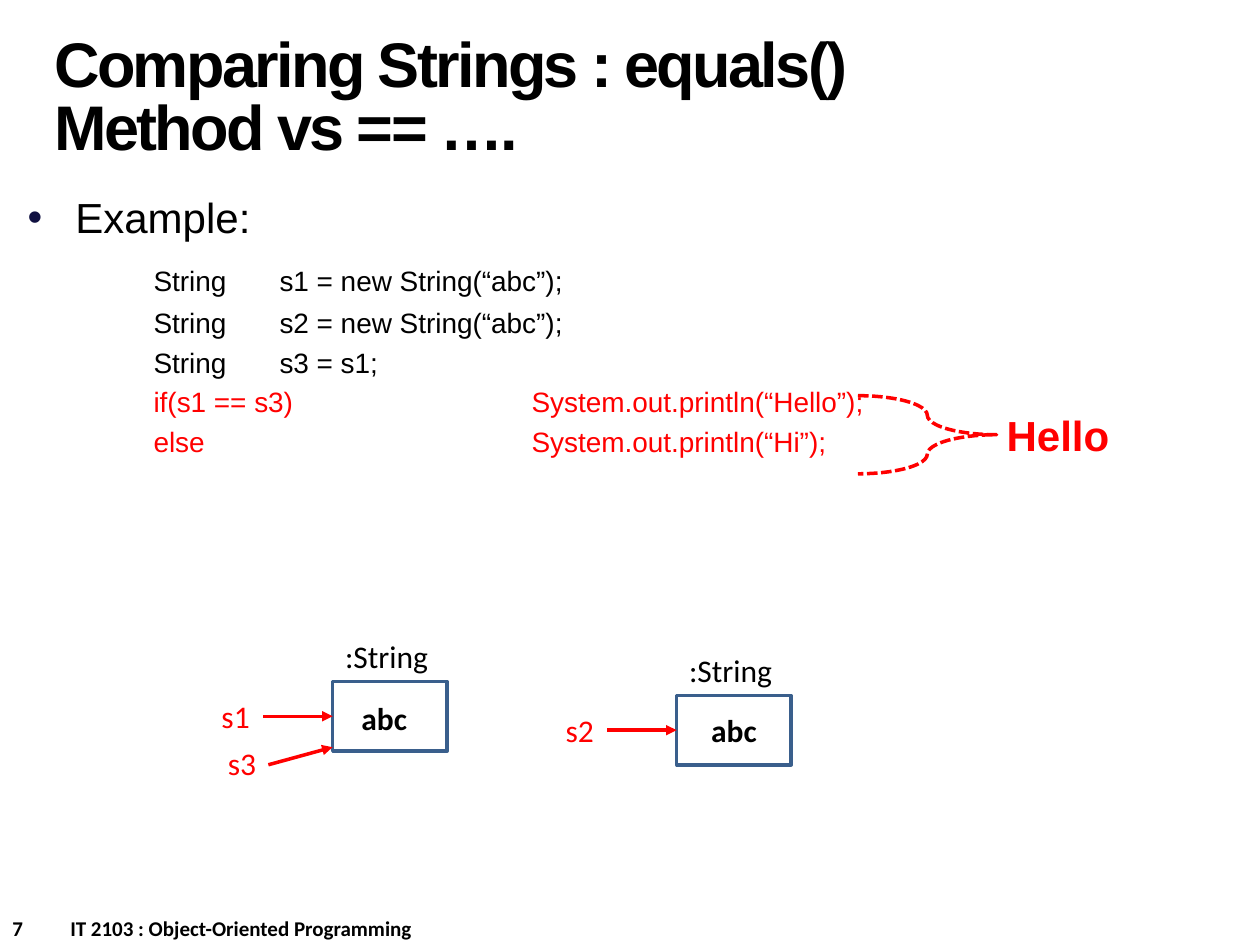
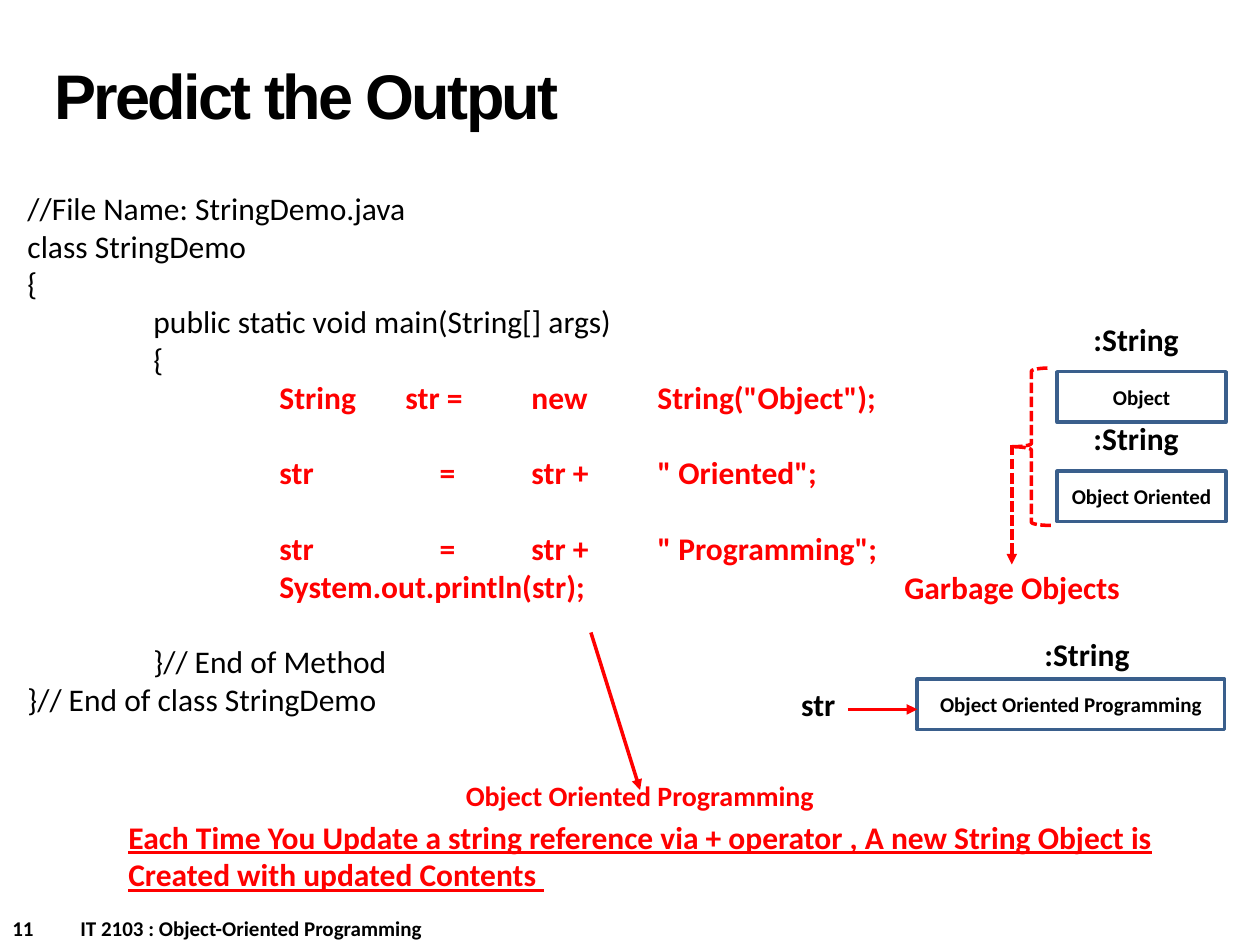
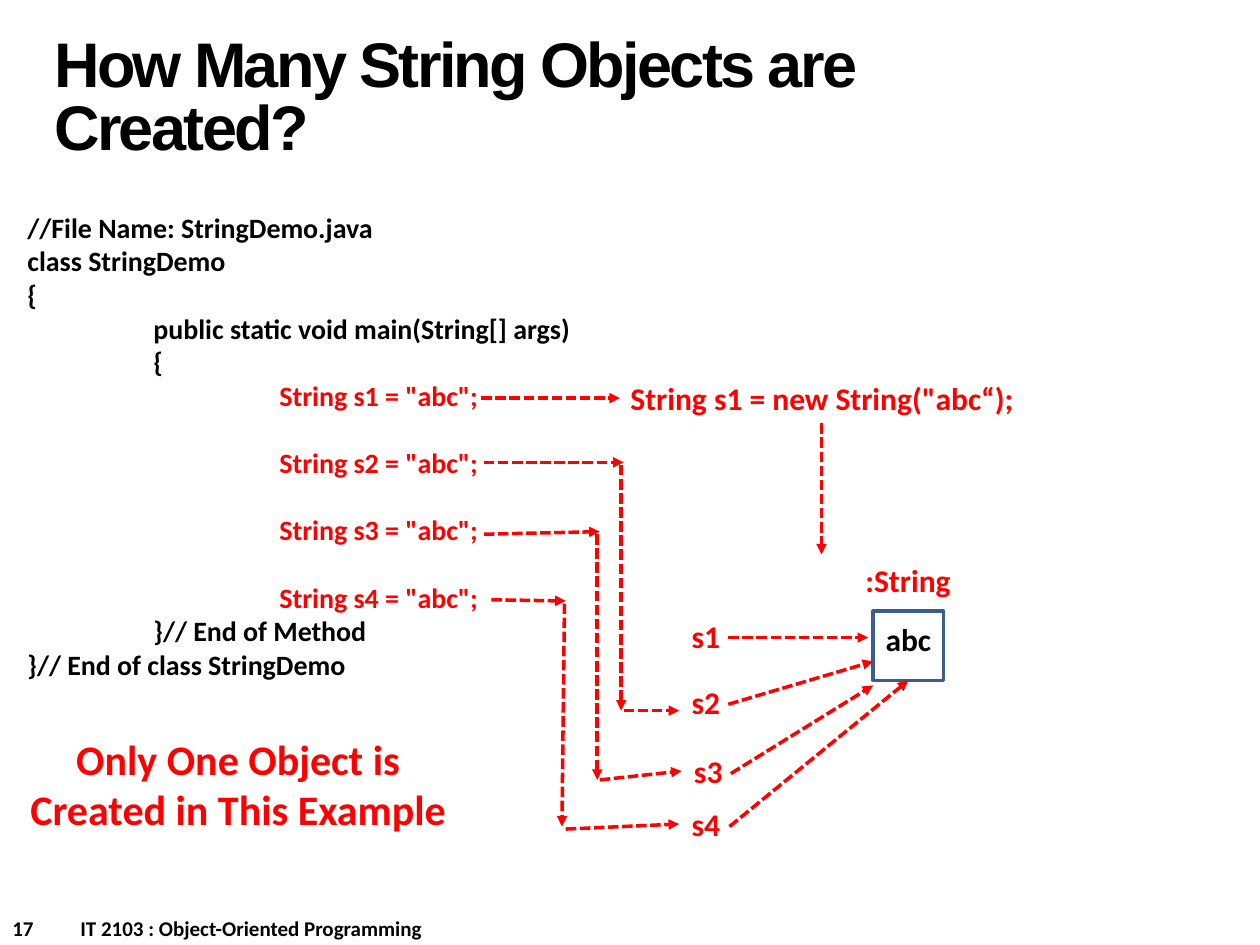
from dataclasses import dataclass

from lxml import etree
from pptx import Presentation
from pptx.dml.color import RGBColor
from pptx.enum.dml import MSO_LINE
from pptx.enum.shapes import MSO_CONNECTOR, MSO_SHAPE
from pptx.enum.text import MSO_ANCHOR, PP_ALIGN
from pptx.oxml.ns import qn
from pptx.util import Inches, Pt

LEFT, CENTER = PP_ALIGN.LEFT, PP_ALIGN.CENTER
TOP, MIDDLE = MSO_ANCHOR.TOP, MSO_ANCHOR.MIDDLE
RECTANGLE, BRACE = MSO_SHAPE.RECTANGLE, MSO_SHAPE.RIGHT_BRACE
STRAIGHT = MSO_CONNECTOR.STRAIGHT
DASH = MSO_LINE.SQUARE_DOT
SIDE_LEFT, SIDE_BOTTOM = 1, 2

COLORS = {"text": "000000", "accent": "FF0000", "outline": "3A5F8C", "bullet": "101141"}

# The slide is a grid of square cells
WIDTH, HEIGHT = Inches(10), Inches(7.5)
COLUMNS, ROWS = 100, 75
CELL = WIDTH / COLUMNS

CODE_STOPS = [1, 2, 3, 4, 5]
TITLE_FORMAT = {"name": "Arial", "size": Pt(36), "bold": True}
PLAIN = {"name": "Calibri", "size": Pt(18), "bold": False}
BOLD = {**PLAIN, "bold": True}
MEDIUM = {**BOLD, "size": Pt(16)}
SMALL = {**BOLD, "size": Pt(12)}
LARGE = {**BOLD, "size": Pt(24)}


@dataclass
class Box:
    left: float
    top: float
    width: float
    height: float

    def inner(self, left, top, width, height):
        return Box(self.left + left, self.top + top, width, height)

    def point(self, left, top):
        return self.left + left, self.top + top

    def lengths(self):
        return cells(self.left, self.top, self.width, self.height)


def cells(*values):
    return [round(value * CELL) for value in values]


def rgb(name):
    return RGBColor.from_string(COLORS[name])


# Text
def write(paragraph, text, font_format, color="text"):
    run = paragraph.add_run()
    run.text = text
    for name, value in font_format.items():
        setattr(run.font, name, value)
    run.font.color.rgb = rgb(color)
    return run


def set_tabs(paragraph, stops):
    tab_list = etree.SubElement(paragraph._p.get_or_add_pPr(), qn("a:tabLst"))
    for stop in stops:
        etree.SubElement(tab_list, qn("a:tab"), pos=str(Inches(stop)), algn="l")


def set_bullet(paragraph, indent):
    properties = paragraph._p.get_or_add_pPr()
    properties.set("marL", str(Inches(indent)))
    properties.set("indent", str(-Inches(indent)))
    color = etree.SubElement(properties, qn("a:buClr"))
    etree.SubElement(color, qn("a:srgbClr"), val=COLORS["bullet"])
    etree.SubElement(properties, qn("a:buFont"), typeface="Arial")
    etree.SubElement(properties, qn("a:buChar"), char="•")


def add_frame(slide, box, wrap=True):
    frame = slide.shapes.add_textbox(*box.lengths()).text_frame
    frame.word_wrap = wrap
    frame.vertical_anchor = TOP
    return frame


def add_label(slide, box, text, font_format=BOLD, color="text", align=LEFT, wrap=False):
    paragraph = add_frame(slide, box, wrap).paragraphs[0]
    paragraph.alignment = align
    write(paragraph, text, font_format, color)


def add_code(slide, box, lines, font_format, blank_line):
    """Each line is text, colour, whether a blank line precedes it, and tab stops."""
    frame = add_frame(slide, box)
    for index, (text, color, gap, stops) in enumerate(lines):
        paragraph = frame.add_paragraph() if index else frame.paragraphs[0]
        set_tabs(paragraph, stops)
        if gap:
            paragraph.space_before = Pt(blank_line)
        line_format = {**font_format, "bold": font_format["bold"] or color == "accent"}
        write(paragraph, text, line_format, color)


# Shapes and lines
def style_line(line, color, dashed=False):
    line.color.rgb = rgb(color)
    line.width = Pt(2)
    if dashed:
        line.dash_style = DASH


def add_outline(slide, kind, box, color, dashed=False):
    shape = slide.shapes.add_shape(kind, *box.lengths())
    shape.shadow.inherit = False
    shape.fill.background()
    style_line(shape.line, color, dashed)
    return shape


def add_object(slide, box, content, type_offset, content_format=BOLD,
               type_format=BOLD, type_color="text"):
    rectangle = add_outline(slide, RECTANGLE, box, "outline")
    if content:
        frame = rectangle.text_frame
        frame.vertical_anchor = MIDDLE
        frame.paragraphs[0].alignment = CENTER
        write(frame.paragraphs[0], content, content_format)
    add_label(slide, box.inner(*type_offset, 8.8, 4), ":String", type_format, type_color)
    return rectangle


def add_arrow(slide, start, end, dashed=True, target=None, side=None):
    arrow = slide.shapes.add_connector(STRAIGHT, *cells(*start, *end))
    if target is not None:
        arrow.end_connect(target, side)
    style_line(arrow.line, "accent", dashed)
    etree.SubElement(arrow.line._get_or_add_ln(), qn("a:tailEnd"), type="triangle")
    etree.SubElement(arrow._element.spPr, qn("a:effectLst"))


# Parts on every slide
def add_title(slide, box, text):
    title = slide.shapes.title
    title.left, title.top, title.width, title.height = box.lengths()
    title.text_frame.word_wrap = True
    title.text_frame.vertical_anchor = MIDDLE
    paragraph = title.text_frame.paragraphs[0]
    paragraph.alignment = LEFT
    paragraph.line_spacing = Pt(36)
    run = write(paragraph, text, TITLE_FORMAT)
    run._r.get_or_add_rPr().set("spc", "-150")


def add_footer(slide, box, number):
    paragraph = add_frame(slide, box).paragraphs[0]
    set_tabs(paragraph, [0.38 + 0.08 * len(number)])
    write(paragraph, f"{number}\tIT 2103 : Object-Oriented Programming", SMALL)


def start_slide(presentation, title, number):
    slide = presentation.slides.add_slide(presentation.slide_layouts[5])
    add_title(slide, Box(3.3, 1.7, 69.2, 12.5), title)
    add_footer(slide, Box(0, ROWS - 2.85, COLUMNS / 2, 3), number)
    return slide


# Comparing strings
def add_example(slide, box):
    frame = add_frame(slide, box)
    heading = frame.paragraphs[0]
    set_bullet(heading, 0.38)
    write(heading, "Example:", {"name": "Arial", "size": Pt(24)})
    lines = [
        ("\tString\ts1 = new String(“abc”);", "text", 12.5),
        ("\tString \ts2 = new String(“abc”);", "text", 5),
        ("\tString \ts3 = s1;", "text", 3.3),
        ("\tif(s1 == s3)\t\tSystem.out.println(“Hello”);", "accent", 3.3),
        ("\telse\t\t\tSystem.out.println(“Hi”);", "accent", 3.3),
    ]
    for text, color, space in lines:
        paragraph = frame.add_paragraph()
        set_tabs(paragraph, CODE_STOPS)
        paragraph.space_before = Pt(space)
        write(paragraph, text, {"name": "Arial", "size": Pt(16)}, color)


def add_result(slide, box):
    brace = add_outline(slide, BRACE, box.inner(0, 0, 11, 6.2), "accent", dashed=True)
    brace.adjustments[0] = 0.25
    add_label(slide, box.inner(10.8, 0.6, 10.2, 5), "Hello", {**LARGE, "name": "Arial"}, "accent")


def add_reference(slide, box, name, content):
    rectangle = add_object(slide, box.inner(9.8, 4, 9.1, 5.5), content, (0, -4),
                           type_format=PLAIN)
    add_label(slide, box.inner(0, 4.7, 4.3, 4), name, PLAIN, "accent")
    add_arrow(slide, box.point(4.3, 6.75), box.point(9.8, 6.75), False, rectangle, SIDE_LEFT)


def build_comparison(presentation):
    slide = start_slide(presentation, "Comparing Strings : equals() Method vs == ….", "7")
    add_example(slide, Box(1.2, 14.7, 97.9, 47.2))
    add_result(slide, Box(68.1, 31.4, 21, 6.2))
    shared = Box(16.6, 50.1, 18.9, 12.5)
    add_reference(slide, shared, "s1", None)
    add_label(slide, shared.inner(11.1, 4.9, 5.6, 4), "abc")
    add_label(slide, shared.inner(0.5, 8.5, 4.3, 4), "s3", PLAIN, "accent")
    add_arrow(slide, shared.point(4.7, 10.6), shared.point(9.8, 9.2), False)
    add_reference(slide, Box(43.9, 51.2, 18.9, 9.5), "s2", "abc")


# Predicting the output
def add_garbage(slide, box):
    for row, content in enumerate(["Object", "Object Oriented"]):
        add_object(slide, box.inner(13.1, 4.6 + 7.9 * row, 13.4, 4), content,
                   (1.9, -4.6), SMALL)
    brace = add_outline(slide, BRACE, box.inner(9.5, 4.3, 3.1, 12.5), "accent", dashed=True)
    brace.rotation = 180
    add_arrow(slide, box.point(9.5, 10.4), box.point(9.5, 19.9))
    add_label(slide, box.inner(0, 19.7, 19.3, 4), "Garbage Objects", color="accent")


def add_current(slide, box):
    add_object(slide, box.inner(10.2, 4, 24.4, 4), "Object Oriented Programming",
               (9.1, -4), SMALL)
    add_label(slide, box.inner(0, 4, 4.8, 4), "str")
    add_arrow(slide, box.point(4.7, 6.4), box.point(10.2, 6.4), False)


def add_output(slide, box):
    add_arrow(slide, box.point(37.7, 0), box.point(41.6, 12.5), False)
    add_label(slide, box.inner(26.6, 11.1, 30, 3.7), "Object Oriented Programming",
              MEDIUM, "accent", CENTER)
    add_label(slide, box.inner(0, 14.2, box.width, 7.1),
              "Each Time You Update a string reference via + operator , "
              "A new String Object is Created with updated Contents ",
              {**BOLD, "underline": True}, "accent", wrap=True)


CLASS_START = [(text, "text", False, CODE_STOPS) for text in (
    "//File Name: StringDemo.java", "class StringDemo", "{",
    "\tpublic static void main(String[] args)", "\t{")]
CLASS_END = ("}// End of class StringDemo", "text", False, CODE_STOPS)


def build_prediction(presentation):
    slide = start_slide(presentation, "Predict the Output", "11")
    equals_stops = [1, 2, 3.27, 4, 5]
    lines = CLASS_START + [
        ('\t\tString \tstr =\tnew\tString("Object");', "accent", False, CODE_STOPS),
        ('\t\tstr\t=\tstr +\t" Oriented";', "accent", True, equals_stops),
        ('\t\tstr\t=\tstr + \t" Programming";', "accent", True, equals_stops),
        ("\t\tSystem.out.println(str);", "accent", False, CODE_STOPS),
        ("\t}// End of Method", "text", True, CODE_STOPS),
        CLASS_END,
    ]
    add_code(slide, Box(1.2, 14.5, 71.3, 46.4), lines, PLAIN, 21.6)
    add_garbage(slide, Box(70.8, 24.9, 26.5, 23.7))
    add_current(slide, Box(62.6, 49.9, 34.6, 8))
    add_output(slide, Box(9.2, 50.2, 90.8, 21.3))


# Counting the objects
def add_expansion(slide, box):
    add_arrow(slide, box.point(0, 2), box.point(11, 2))
    add_label(slide, box.inner(10.7, 0, 32.7, 4), 'String s1 = new String("abc“);',
              color="accent", align=CENTER)
    add_arrow(slide, box.point(27, 4), box.point(27, 14.4))


def add_routes(slide, box):
    routes = [
        [((0, 0), (11.1, 0)), ((10.9, 0.2), (10.9, 19.7)), ((11.1, 19.7), (15.5, 19.7))],
        [((0, 5.7), (9.2, 5.5)), ((9, 5.7), (9, 25.2)), ((9.2, 25.2), (15.7, 24.5))],
        [((0.6, 10.9), (6.5, 11)), ((6.4, 11.2), (6.2, 28.9)), ((6.5, 29.1), (15.5, 28.7))],
    ]
    for route in routes:
        for start, end in route:
            add_arrow(slide, box.point(*start), box.point(*end))


def add_shared_object(slide, box):
    rectangle = add_object(slide, box.inner(15.4, 4.5, 5.6, 5.5), None, (-1.6, -4.5),
                           type_color="accent")
    add_label(slide, box.inner(15.4, 4.7, 5.6, 4), "abc")
    references = [
        ("s1", (0, 4.5), (3.9, 6.6), (15, 6.6), None),
        ("s2", (0, 9.7), (3.9, 11.9), (15.4, 8.5), None),
        ("s3", (0.2, 15.2), (4.1, 17.4), (15.4, 10.4), None),
        ("s4", (0, 19.4), (4, 21.6), (18.2, 10), rectangle),
    ]
    for name, place, start, end, target in references:
        add_label(slide, box.inner(*place, 4.3, 4), name, color="accent")
        add_arrow(slide, box.point(*start), box.point(*end), True, target, SIDE_BOTTOM)


def build_count(presentation):
    slide = start_slide(presentation, "How Many String Objects are Created?", "17")
    literals = [(f'\t\tString s{number} = "abc";', "accent", number > 1, CODE_STOPS)
                for number in range(1, 5)]
    lines = CLASS_START + literals + [
        ("\t}// End of Method", "text", False, CODE_STOPS), CLASS_END]
    add_code(slide, Box(1.2, 16.2, 45.7, 38.7), lines, MEDIUM, 19.3)
    add_expansion(slide, Box(38.2, 29.6, 43.4, 14.4))
    add_routes(slide, Box(38.4, 36.7, 15.7, 29.1))
    add_shared_object(slide, Box(53.9, 44, 22.6, 23.4))
    add_label(slide, Box(1.2, 57.7, 35.4, 9.1), "Only One Object is Created in This Example",
              LARGE, "accent", CENTER, wrap=True)


def main():
    presentation = Presentation()
    presentation.slide_width, presentation.slide_height = WIDTH, HEIGHT
    build_comparison(presentation)
    build_prediction(presentation)
    build_count(presentation)
    presentation.save("out.pptx")


if __name__ == "__main__":
    main()
